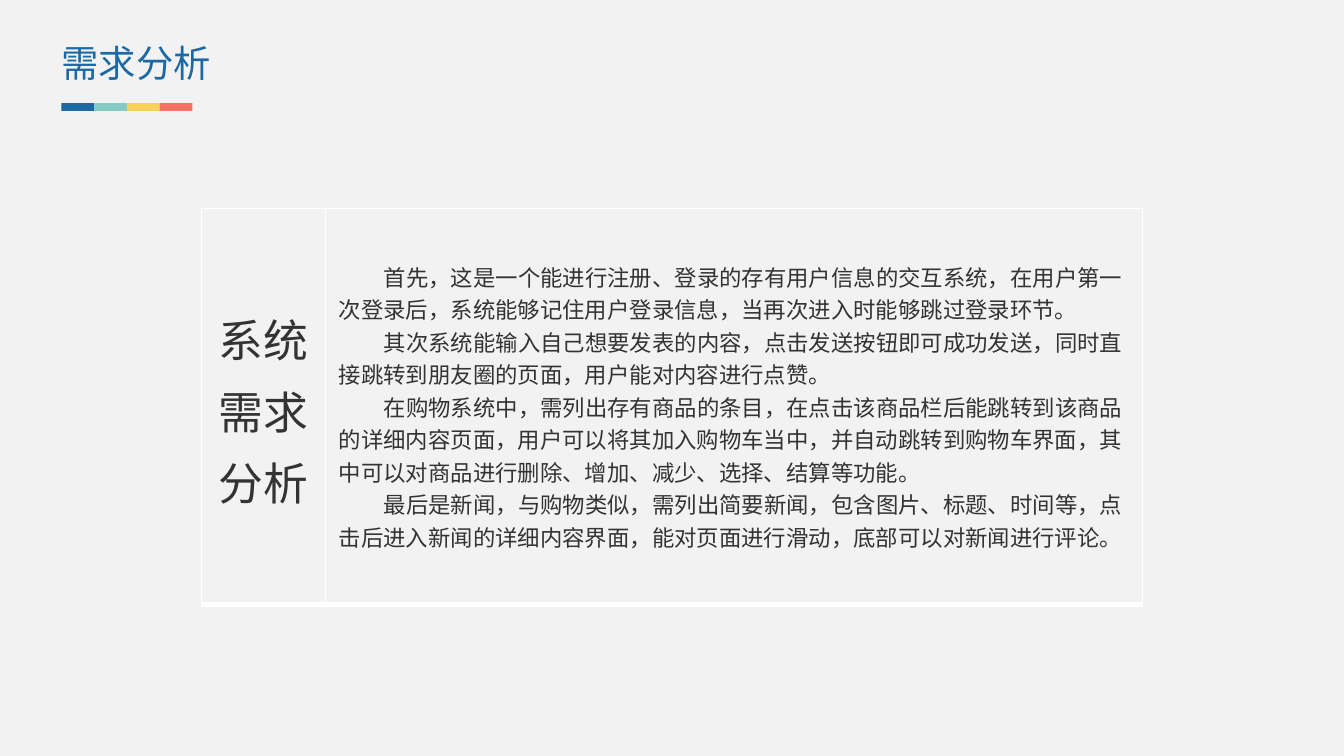
from typing import NamedTuple

from lxml.etree import SubElement
from pptx import Presentation
from pptx.dml.color import RGBColor
from pptx.enum.shapes import MSO_SHAPE
from pptx.enum.text import MSO_ANCHOR, MSO_AUTO_SIZE, PP_ALIGN
from pptx.oxml import parse_xml
from pptx.oxml.ns import nsdecls, qn
from pptx.util import Cm, Pt

HUES = {
    "blue": "1D69A3", "teal": "84CBC3", "gold": "F8D158", "coral": "F57365",
    "page": "F2F2F2", "ink": "333333", "rule": "FFFFFF",
}
FONT = "Noto Sans CJK SC"
NEEDS = [
    "首先，这是一个能进行注册、登录的存有用户信息的交互系统，在用户第一次登录后，系统能够记住用户登录信息，当再次进入时能够跳过登录环节。",
    "其次系统能输入自己想要发表的内容，点击发送按钮即可成功发送，同时直接跳转到朋友圈的页面，用户能对内容进行点赞。",
    "在购物系统中，需列出存有商品的条目，在点击该商品栏后能跳转到该商品的详细内容页面，用户可以将其加入购物车当中，并自动跳转到购物车界面，其中可以对商品进行删除、增加、减少、选择、结算等功能。",
    "最后是新闻，与购物类似，需列出简要新闻，包含图片、标题、时间等，点击后进入新闻的详细内容界面，能对页面进行滑动，底部可以对新闻进行评论。",
]


class Bar(NamedTuple):
    left: float
    hue: str


def paint(fill, hue: str) -> None:
    fill.solid()
    fill.fore_color.rgb = RGBColor.from_string(HUES[hue])


def write(frame, lines: list[str], *, size: float, hue: str = "ink",
          font: str = FONT, align=PP_ALIGN.LEFT, space: float = 1.0,
          indent: float = 0) -> None:
    for i, line in enumerate(lines):
        para = frame.paragraphs[0] if i == 0 else frame.add_paragraph()
        para.alignment = align
        para.line_spacing = space
        if indent:
            props = para._p.get_or_add_pPr()
            props.set("marL", "0")
            props.set("indent", str(Cm(indent)))
        run = para.add_run()
        run.text = line
        run.font.size = Pt(size)
        run.font.name = font
        paint(run.font.fill, hue)
        SubElement(run.font._element, qn("a:ea")).set("typeface", FONT)


def draw_bar(slide, bar: Bar) -> None:
    shape = slide.shapes.add_shape(
        MSO_SHAPE.RECTANGLE, Cm(bar.left), Cm(1.95), Cm(0.62), Cm(0.15))
    shape.shadow.inherit = False
    paint(shape.fill, bar.hue)
    shape.line.fill.background()


def frame_cell(cell) -> None:
    cell.vertical_anchor = MSO_ANCHOR.MIDDLE
    paint(cell.fill, "page")
    props = cell._tc.get_or_add_tcPr()
    # Borders come before the fill in the cell properties
    for i, (side, width) in enumerate({"L": 1, "R": 1, "T": 1, "B": 3}.items()):
        props.insert(i, parse_xml(
            f'<a:ln{side} {nsdecls("a")} w="{Pt(width)}"><a:solidFill>'
            f'<a:srgbClr val="{HUES["rule"]}"/></a:solidFill></a:ln{side}>'))


def main() -> None:
    deck = Presentation()
    deck.slide_width, deck.slide_height = Cm(25.4), Cm(14.29)
    slide = deck.slides.add_slide(deck.slide_layouts[5])
    paint(slide.background.fill, "page")

    # Title
    title = slide.shapes.title
    title.left, title.top, title.width, title.height = (
        Cm(1.16), Cm(0.76), Cm(7.72), Cm(0.87))
    frame = title.text_frame
    frame.margin_left = frame.margin_right = 0
    frame.margin_top = frame.margin_bottom = 0
    frame.vertical_anchor = MSO_ANCHOR.TOP
    frame.auto_size = MSO_AUTO_SIZE.SHAPE_TO_FIT_TEXT
    write(frame, ["需求分析"], size=20, hue="blue")

    # Colour strip under the title
    for i, hue in enumerate(["blue", "teal", "gold", "coral"]):
        draw_bar(slide, Bar(1.16 + 0.62 * i, hue))

    # Table of needs
    table = slide.shapes.add_table(
        1, 2, Cm(3.81), Cm(3.94), Cm(17.78), Cm(7.49)).table
    table.first_row = table.horz_banding = False
    for col, width in zip(table.columns, [2.34, 15.44]):
        col.width = Cm(width)
    head, body = table.cell(0, 0), table.cell(0, 1)
    for cell in (head, body):
        frame_cell(cell)
    write(head.text_frame, ["系统需求分析"], size=24,
          align=PP_ALIGN.CENTER, space=1.1)
    write(body.text_frame, NEEDS, size=12, font="Calibri", indent=0.85)

    deck.save("out.pptx")


if __name__ == "__main__":
    main()
